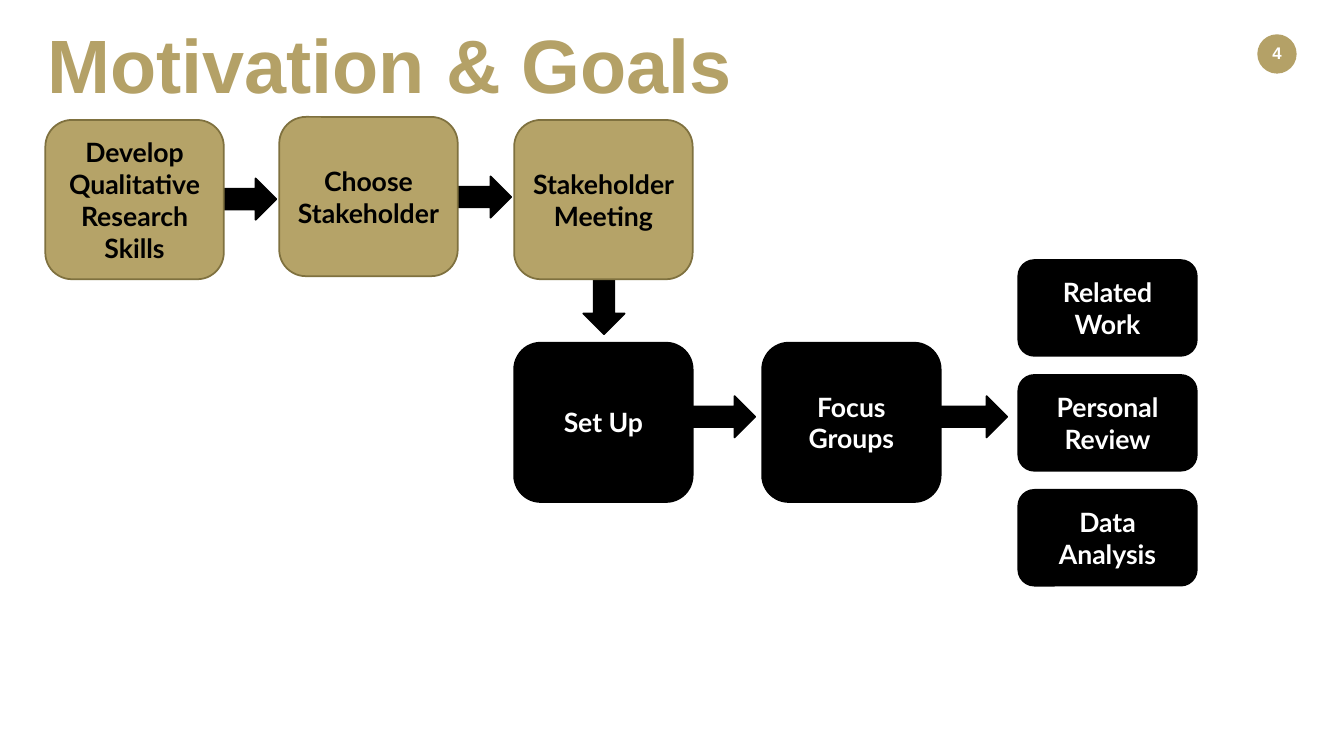
from pptx import Presentation
from pptx.dml.color import RGBColor
from pptx.enum.shapes import MSO_SHAPE
from pptx.enum.text import MSO_ANCHOR, MSO_AUTO_SIZE, PP_ALIGN
from pptx.util import Pt

PX = 9144  # 100 px to the inch
COLORS = {
    "gold": "B4A167",
    "sand": "B5A368",
    "olive": "7F713F",
    "black": "000000",
    "white": "FFFFFF",
}


def style(para, size, face, color, align):
    para.alignment = align
    font = para.font
    font.size, font.name, font.bold = Pt(size), face, True
    font.color.rgb = RGBColor.from_string(COLORS[color])


def draw(kind, box, fill, edge=None):
    """Add a flat preset shape; box is left, top, width, height in px."""
    shape = slide.shapes.add_shape(kind, *(n * PX for n in box))
    shape.shadow.inherit = False
    shape.fill.solid()
    shape.fill.fore_color.rgb = RGBColor.from_string(COLORS[fill])
    if edge:
        shape.line.color.rgb = RGBColor.from_string(COLORS[edge])
        shape.line.width = Pt(1.25)
    else:
        shape.line.fill.background()
    return shape


deck = Presentation()
deck.slide_width, deck.slide_height = 1333 * PX, 750 * PX
slide = deck.slides.add_slide(deck.slide_layouts[5])

# Title
title = slide.shapes.title
title.left, title.top, title.width, title.height = (n * PX for n in (37, 34, 1150, 69))
frame = title.text_frame
frame.text = "Motivation & Goals"
frame.auto_size = MSO_AUTO_SIZE.NONE
frame.vertical_anchor = MSO_ANCHOR.MIDDLE
frame.paragraphs[0].line_spacing = 0.9
style(frame.paragraphs[0], 54, "Arial", "gold", PP_ALIGN.LEFT)

# Page number
draw(MSO_SHAPE.OVAL, (1247, 34, 39, 39), "gold")
page = slide.shapes.add_textbox(*(n * PX for n in (1224, 40, 85, 53))).text_frame
page.word_wrap = True
page.text = "4"
page.paragraphs[0].line_spacing = 0.9
style(page.paragraphs[0], 12, "Arial", "white", PP_ALIGN.CENTER)

# Arrows lie behind the boxes
arrows = [(200, 177, 0), (433, 175, 0), (562, 274, 90), (675, 393, 0), (925, 393, 0)]
for left, top, turn in arrows:
    arrow = draw(MSO_SHAPE.RIGHT_ARROW, (left, top, 74, 41), "black", "black")
    arrow.rotation = turn

# Steps: text, left, top, height, fill, edge, ink
done = ("sand", "olive", "black")
todo = ("black", "black", "white")
steps = [
    ("Develop Qualitative Research Skills", 45, 119, 158, *done),
    ("Choose Stakeholder", 277, 116, 158, *done),
    ("Stakeholder Meeting", 510, 119, 158, *done),
    ("Set Up", 510, 340, 158, *todo),
    ("Focus Groups", 756, 340, 158, *todo),
]
for i, text in enumerate(["Related Work", "Personal Review", "Data Analysis"]):
    steps.append((text, 1010, 258 + 114 * i, 95, *todo))

for text, left, top, height, fill, edge, ink in steps:
    box = draw(MSO_SHAPE.ROUNDED_RECTANGLE, (left, top, 177, height), fill, edge)
    frame = box.text_frame
    frame.word_wrap = True
    frame.vertical_anchor = MSO_ANCHOR.MIDDLE
    frame.text = text
    style(frame.paragraphs[0], 19, "Lato", ink, PP_ALIGN.CENTER)

deck.save("out.pptx")
